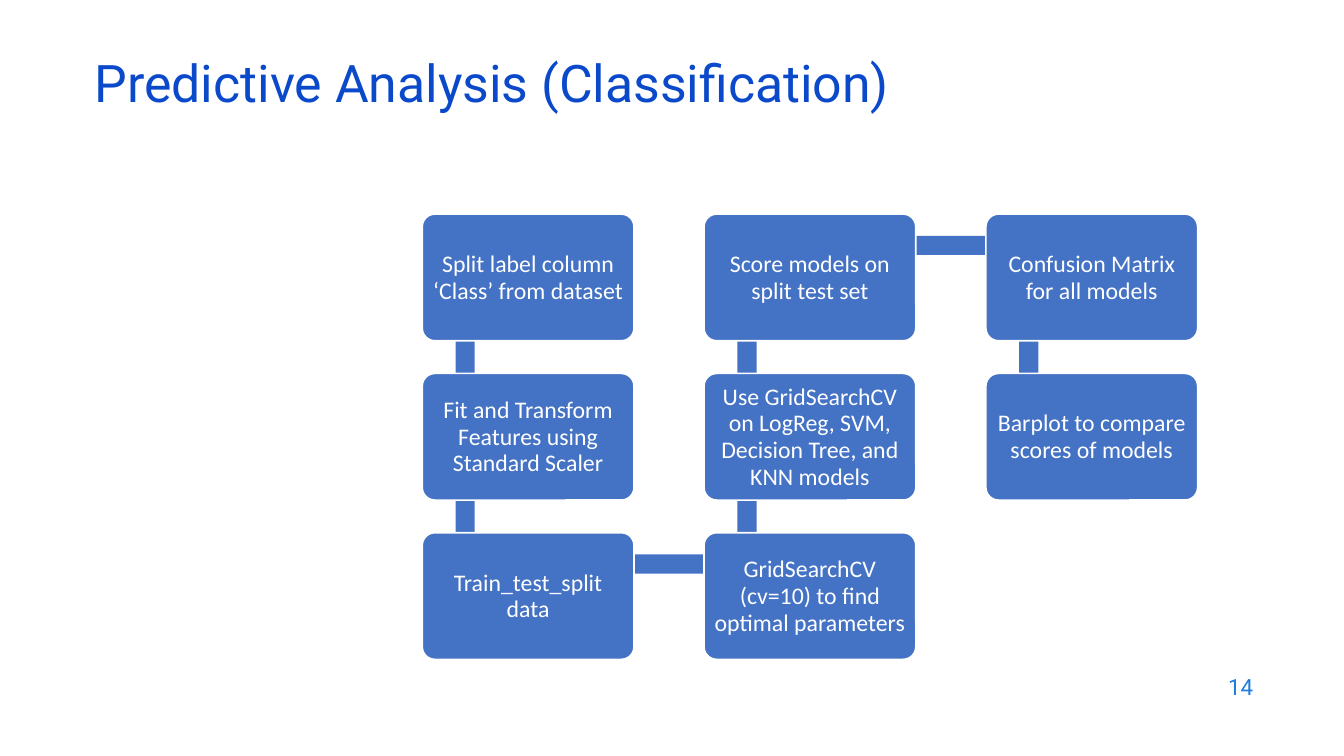
from pptx import Presentation
from pptx import util as u
from pptx.dml import color
from pptx.enum import shapes, text

COLORS = {"title": "0B49CB", "number": "1C7DDB", "step": "4472C4", "white": "FFFFFF"}
LEFT, TOP = 301.6, 152.9
COLUMN_PITCH, ROW_PITCH = 201.3, 113.8
STEP_WIDTH, STEP_HEIGHT = 151.3, 90.5
BAR = 13.7

STEPS = [
    (0, 0, ["Split label column", "‘Class’ from dataset"]),
    (0, 1, ["Fit and Transform", "Features using", "Standard Scaler"]),
    (0, 2, ["Train_test_split", "data"]),
    (1, 2, ["GridSearchCV", "(cv=10) to find", "optimal parameters"]),
    (1, 1, ["Use GridSearchCV", "on LogReg, SVM,", "Decision Tree, and", "KNN models"]),
    (1, 0, ["Score models on", "split test set"]),
    (2, 0, ["Confusion Matrix", "for all models"]),
    (2, 1, ["Barplot to compare", "scores of models"]),
]


def rgb(name):
    return color.RGBColor.from_string(COLORS[name])


def corner(column, row):
    return LEFT + column * COLUMN_PITCH, TOP + row * ROW_PITCH


def add_span(para, words, font, size, color_name):
    span = para.add_run()
    span.text = words
    span.font.name = font
    span.font.size = u.Pt(size)
    span.font.color.rgb = rgb(color_name)


def place(box, left, top, width, height):
    box.left, box.top = u.Pt(left), u.Pt(top)
    box.width, box.height = u.Pt(width), u.Pt(height)


def add_filled(page, kind, left, top, width, height):
    shape = page.shapes.add_shape(kind, u.Pt(left), u.Pt(top), u.Pt(width), u.Pt(height))
    shape.shadow.inherit = False
    shape.fill.solid()
    shape.fill.fore_color.rgb = rgb("step")
    shape.line.fill.background()
    return shape


def add_bar(page, start, end):
    left, top = corner(*start[:2])
    if start[0] == end[0]:
        top = min(top, corner(*end[:2])[1])
        size = (left + 23.8, top + 23, BAR, ROW_PITCH - 1)
    else:
        size = (left + 31, top + 15.5, COLUMN_PITCH - 0.5, BAR)
    add_filled(page, shapes.MSO_SHAPE.RECTANGLE, *size)


def add_step(page, column, row, lines):
    box = add_filled(page, shapes.MSO_SHAPE.ROUNDED_RECTANGLE,
                     *corner(column, row), STEP_WIDTH, STEP_HEIGHT)
    box.adjustments[0] = 0.1
    box.line.color.rgb = rgb("white")
    box.line.width = u.Pt(1.2)
    frame = box.text_frame
    frame.word_wrap = True
    frame.vertical_anchor = text.MSO_ANCHOR.MIDDLE
    frame.margin_left = frame.margin_right = u.Pt(2)
    frame.margin_top = frame.margin_bottom = u.Pt(0)
    para = frame.paragraphs[0]
    para.alignment = text.PP_ALIGN.CENTER
    para.line_spacing = u.Pt(19)
    for index, line in enumerate(lines):
        if index:
            para.add_line_break()
        add_span(para, line, "Calibri", 17, "white")


def add_title(page, words):
    title = page.shapes.title
    place(title, 60.5, 42.5, 828, 43.2)
    frame = title.text_frame
    frame.auto_size = text.MSO_AUTO_SIZE.NONE
    frame.word_wrap = True
    frame.vertical_anchor = text.MSO_ANCHOR.MIDDLE
    para = frame.paragraphs[0]
    para.alignment = text.PP_ALIGN.LEFT
    para.line_spacing = 0.7
    add_span(para, words, "Roboto", 37, "title")


def add_page_number(page, number):
    box = page.shapes.add_textbox(u.Pt(686.2), u.Pt(474.5), u.Pt(216), u.Pt(31.7))
    frame = box.text_frame
    frame.word_wrap = True
    frame.vertical_anchor = text.MSO_ANCHOR.MIDDLE
    para = frame.paragraphs[0]
    para.alignment = text.PP_ALIGN.RIGHT
    add_span(para, number, "Roboto", 16, "number")


def main():
    deck = Presentation()
    deck.slide_width, deck.slide_height = u.Pt(960), u.Pt(540)
    page = deck.slides.add_slide(deck.slide_layouts[5])
    add_title(page, "Predictive Analysis (Classification)")
    for start, end in zip(STEPS, STEPS[1:]):
        add_bar(page, start, end)
    for step in STEPS:
        add_step(page, *step)
    add_page_number(page, "14")
    deck.save("out.pptx")


if __name__ == "__main__":
    main()
